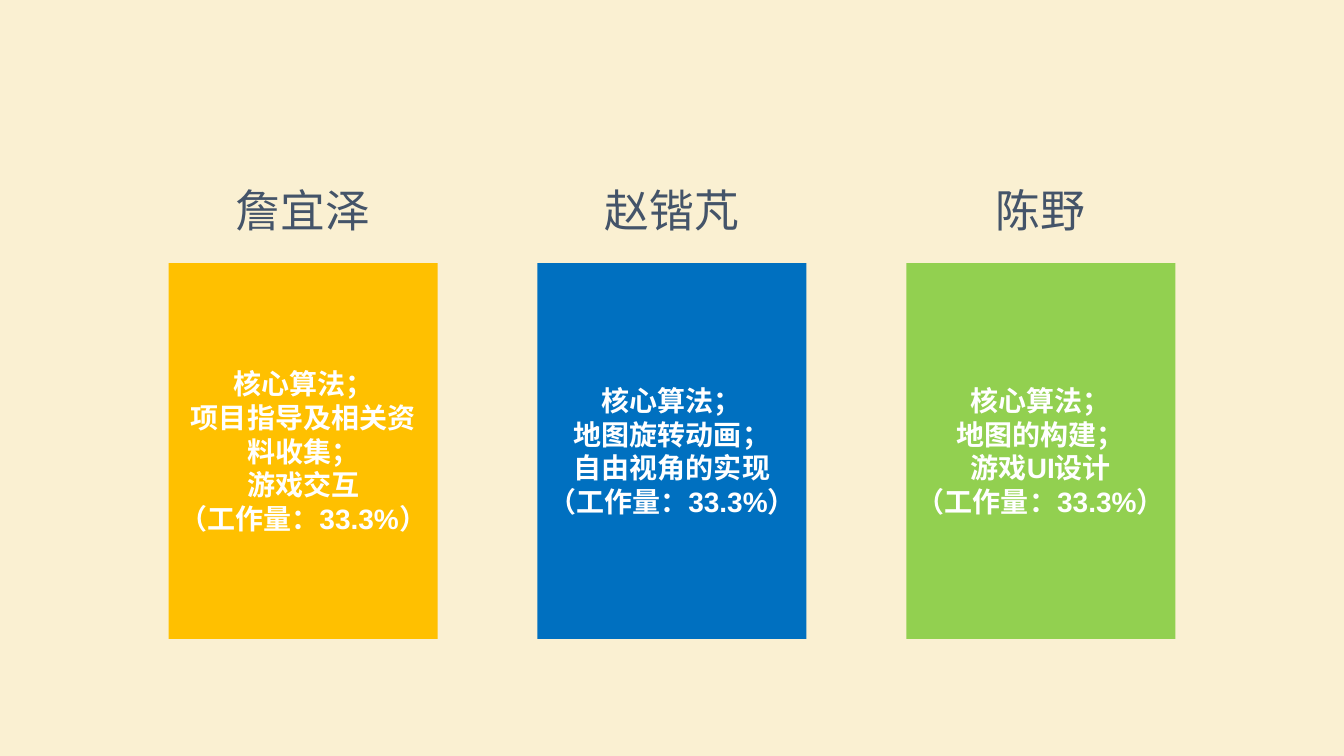
from dataclasses import dataclass

import pptx
import pptx.dml.color
import pptx.enum.shapes
import pptx.enum.text
import pptx.util

Cm = pptx.util.Cm
Pt = pptx.util.Pt
Color = pptx.dml.color.RGBColor.from_string


@dataclass(frozen=True)
class Theme:
    background: str = "FAF0D2"
    name_color: str = "445469"
    card_text: str = "FFFFFF"
    card_fills: tuple = ("FFC000", "0070C0", "92D050")
    font: str = "Arial"
    name_size: int = 32
    card_size: int = 20


THEME = Theme()
WORKLOAD = "（工作量：33.3%）"
MEMBERS = (
    ("詹宜泽", ("核心算法；", "项目指导及相关资料收集；", "游戏交互", WORKLOAD)),
    ("赵锴芃", ("核心算法；", "地图旋转动画；", "自由视角的实现", WORKLOAD)),
    ("陈野", ("核心算法；", "地图的构建；", "游戏UI设计", WORKLOAD)),
)


def write_centred(shape, lines, size, color, bold=False):
    frame = shape.text_frame
    frame.word_wrap = True
    frame.text = "\n".join(lines)
    for para in frame.paragraphs:
        para.alignment = pptx.enum.text.PP_ALIGN.CENTER
        for span in para.runs:
            span.font.name = THEME.font
            span.font.size = Pt(size)
            span.font.bold = bold
            span.font.color.rgb = Color(color)


def add_member(page, left, top, width, height, member, fill):
    """Place a member's name above a card of tasks, inside the given box."""
    name, tasks = member
    card_offset = Cm(2.16)
    card = page.shapes.add_shape(
        pptx.enum.shapes.MSO_SHAPE.RECTANGLE,
        left, top + card_offset, width, height - card_offset)
    card.shadow.inherit = False
    card.fill.solid()
    card.fill.fore_color.rgb = Color(fill)
    card.line.fill.background()
    card.text_frame.vertical_anchor = pptx.enum.text.MSO_ANCHOR.MIDDLE
    write_centred(card, tasks, THEME.card_size, THEME.card_text, bold=True)

    inset = Cm(0.4)
    label = page.shapes.add_textbox(left + inset, top, width - 2 * inset, Cm(1.62))
    write_centred(label, [name], THEME.name_size, THEME.name_color)
    label.text_frame.auto_size = pptx.enum.text.MSO_AUTO_SIZE.SHAPE_TO_FIT_TEXT


def add_team(page, left, top, width, height):
    """Spread the members evenly over the box."""
    card_width = Cm(6.78)
    step = (width - card_width) // (len(MEMBERS) - 1)
    for index, (member, fill) in enumerate(zip(MEMBERS, THEME.card_fills)):
        add_member(page, left + index * step, top, card_width, height, member, fill)


def main():
    deck = pptx.Presentation()
    deck.slide_width = Cm(33.87)
    deck.slide_height = Cm(19.05)
    page = deck.slides.add_slide(deck.slide_layouts[6])
    page.background.fill.solid()
    page.background.fill.fore_color.rgb = Color(THEME.background)
    add_team(page, Cm(4.25), Cm(4.47), Cm(25.37), Cm(11.63))
    deck.save("out.pptx")


if __name__ == "__main__":
    main()
